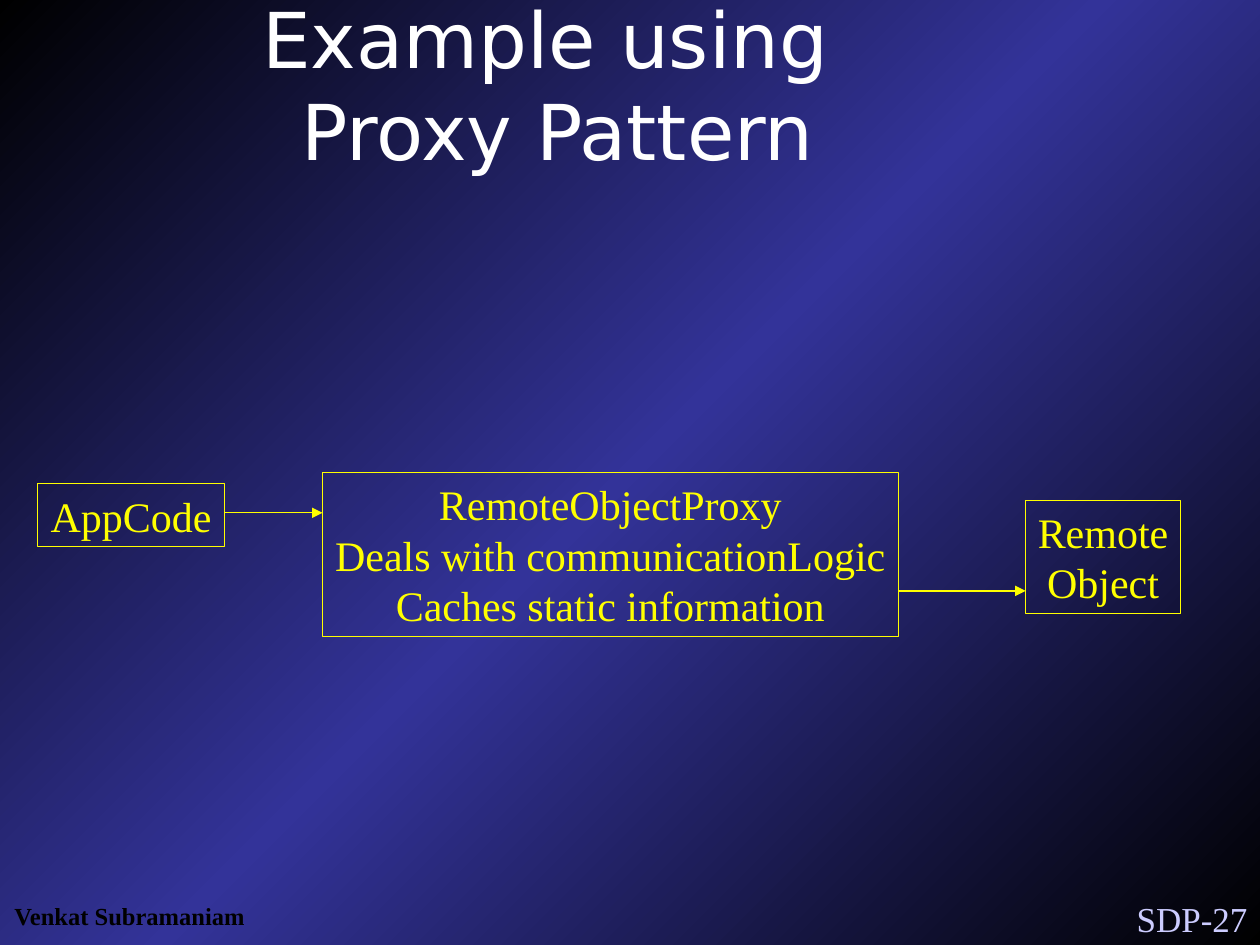
from copy import deepcopy

from pptx import Presentation
from pptx.dml.color import RGBColor
from pptx.enum.shapes import MSO_CONNECTOR, MSO_SHAPE
from pptx.enum.text import MSO_ANCHOR, MSO_AUTO_SIZE, PP_ALIGN
from pptx.oxml.ns import qn
from pptx.util import Inches, Pt
from lxml.etree import SubElement

BLACK = RGBColor(0x00, 0x00, 0x00)
WHITE = RGBColor(0xFF, 0xFF, 0xFF)
INDIGO = RGBColor(0x33, 0x33, 0x99)
LAVENDER = RGBColor(0xCC, 0xCC, 0xFF)
YELLOW = RGBColor(0xFF, 0xFF, 0x00)
SERIF = "Times New Roman"
LINE_WIDTH = Pt(0.74)

TITLE = "Example using\v Proxy Pattern"
BACKGROUND_STOPS = [(0, BLACK), (0.5, INDIGO), (1, BLACK)]
FOOTERS = [
    ("SDP-27", (8.58, 7.07, 1.42, 0.44),
     dict(size=20, color=LAVENDER, align=PP_ALIGN.RIGHT, wrap=True)),
    ("Venkat Subramaniam", (0.01, 7.1, 2.04, 0.34),
     dict(size=14, color=BLACK, bold=True)),
]
BOXES = {
    "app": ("AppCode", (0.3, 3.84, 1.48, 0.5)),
    "proxy": ("RemoteObjectProxy\nDeals with communicationLogic\n"
              "Caches static information", (2.56, 3.75, 4.57, 1.3)),
    "remote": ("Remote\nObject", (8.14, 3.97, 1.23, 0.9)),
}
ARROWS = [("app", "proxy", 4.07), ("proxy", "remote", 4.69)]


def write_text(shape, text, size, color, font=SERIF, bold=False,
               align=PP_ALIGN.CENTER, anchor=MSO_ANCHOR.MIDDLE, wrap=False):
    """Fill a shape with text, one paragraph per line, in one format."""
    frame = shape.text_frame
    frame.text = text
    frame.auto_size = MSO_AUTO_SIZE.NONE
    frame.word_wrap = wrap
    frame.vertical_anchor = anchor
    for paragraph in frame.paragraphs:
        paragraph.alignment = align
        for run in paragraph.runs:
            run.font.name = font
            run.font.size = Pt(size)
            run.font.bold = bold
            run.font.color.rgb = color


def paint_background(slide):
    """Give the slide its diagonal three-stop gradient."""
    fill = slide.background.fill
    fill.gradient()
    fill.gradient_angle = 135
    stop_list = next(slide.element.iter(qn("a:gsLst")))
    stop_list.append(deepcopy(stop_list[-1]))
    for stop, (position, color) in zip(fill.gradient_stops, BACKGROUND_STOPS):
        stop.position = position
        stop.color.rgb = color


def add_box(slide, text, bounds):
    """Add an outlined box of the diagram."""
    box = slide.shapes.add_shape(MSO_SHAPE.RECTANGLE, *map(Inches, bounds))
    box.shadow.inherit = False
    box.fill.background()
    box.line.color.rgb = YELLOW
    box.line.width = LINE_WIDTH
    write_text(box, text, size=24, color=YELLOW)
    return box


def add_arrow(slide, source, target, y):
    """Add a level arrow from the right of one box to the left of another."""
    arrow = slide.shapes.add_connector(
        MSO_CONNECTOR.STRAIGHT, source.left + source.width, Inches(y),
        target.left, Inches(y))
    arrow.line.color.rgb = YELLOW
    arrow.line.width = LINE_WIDTH
    SubElement(arrow.line._get_or_add_ln(), qn("a:tailEnd"), type="triangle")
    SubElement(arrow._element.spPr, qn("a:effectLst"))


presentation = Presentation()
presentation.slide_width, presentation.slide_height = Inches(10), Inches(7.5)
slide = presentation.slides.add_slide(presentation.slide_layouts[5])
paint_background(slide)

title = slide.shapes.title
title.left, title.top, title.width, title.height = map(
    Inches, (0.08, 0.33, 8.5, 0.67))
write_text(title, TITLE, size=44, color=WHITE, font="DejaVu Sans", wrap=True)

for text, bounds, text_format in FOOTERS:
    footer = slide.shapes.add_textbox(*map(Inches, bounds))
    write_text(footer, text, anchor=MSO_ANCHOR.TOP, **text_format)

boxes = {name: add_box(slide, *box) for name, box in BOXES.items()}
for source, target, y in ARROWS:
    add_arrow(slide, boxes[source], boxes[target], y)

presentation.save("out.pptx")
